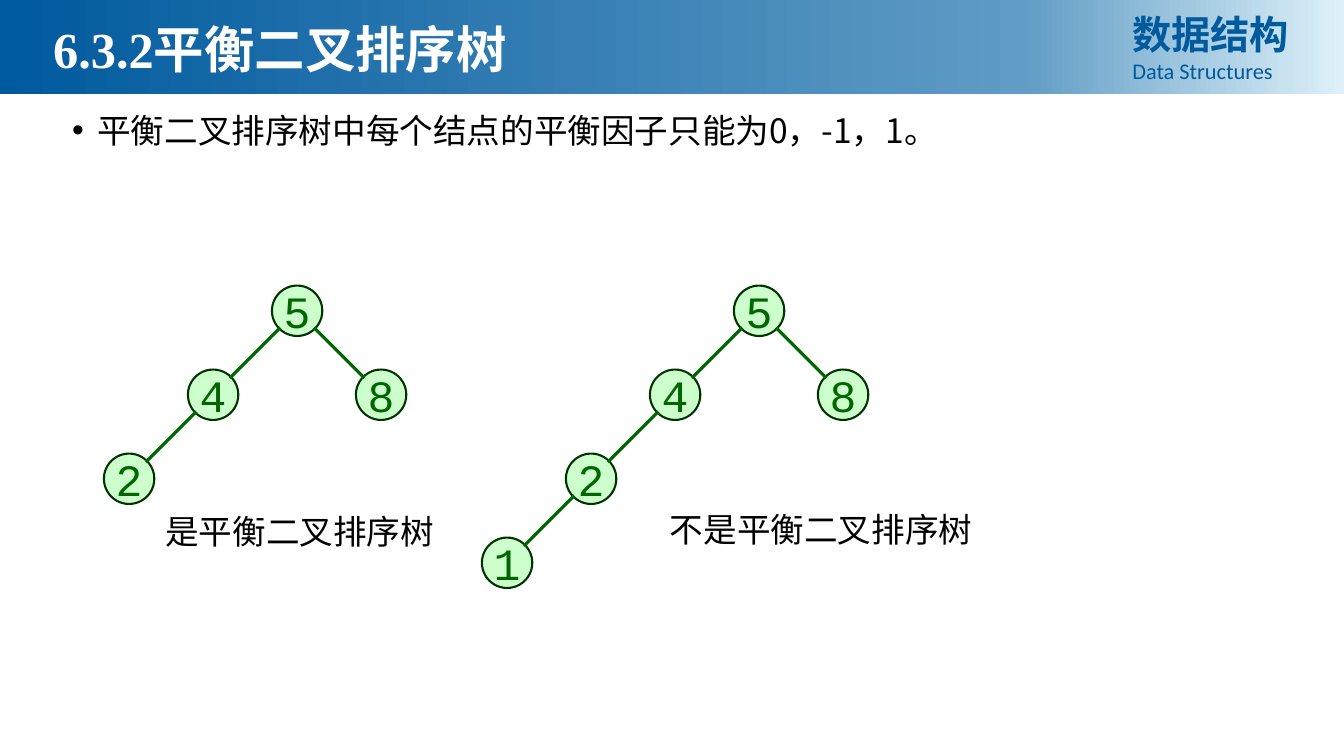
"""Build the slide on balanced binary sort trees."""
from copy import deepcopy
from lxml.etree import SubElement
from pptx import Presentation
from pptx.dml.color import RGBColor
from pptx.enum.shapes import MSO_CONNECTOR, MSO_SHAPE
from pptx.enum.text import MSO_ANCHOR, MSO_AUTO_SIZE, PP_ALIGN
from pptx.oxml.ns import qn
from pptx.util import Pt

PX = 9525
SANS = "Noto Sans CJK SC"
STEP, SIZE, REACH = 80, 48, 16


def paint(color, code):
    color.rgb = RGBColor.from_string(code)


def style(para, text, face, size, code, bold=False, align=PP_ALIGN.LEFT):
    para.text = text
    para.alignment = align
    para.font.name = face
    para.font.size = Pt(size)
    para.font.bold = bold
    paint(para.font.color, code)


deck = Presentation()
deck.slide_width, deck.slide_height = 1280 * PX, 720 * PX
slide = deck.slides.add_slide(deck.slide_layouts[1])
shapes = slide.shapes

band = shapes.add_shape(MSO_SHAPE.RECTANGLE, 0, 0, 1280 * PX, 90 * PX)
band.shadow.inherit = False
band.line.fill.background()
band.fill.gradient()
band.fill.gradient_angle = 0
first = band.fill._fill._gradFill.find(qn("a:gsLst"))[0]
first.addnext(deepcopy(first))
stops = [(0, "005A9E"), (0.76, "609CC5"), (1, "DEF1F9")]
for stop, (place, code) in zip(band.fill.gradient_stops, stops):
    stop.position = place
    paint(stop.color, code)
shapes._spTree.insert(2, band._element)

title = shapes.title
title.left, title.top, title.width, title.height = [n * PX for n in (41, 12, 643, 68)]
frame = title.text_frame
frame.auto_size = MSO_AUTO_SIZE.NONE
frame.vertical_anchor = MSO_ANCHOR.TOP
style(frame.paragraphs[0], "6.3.2平衡二叉排序树", "Times New Roman", 36, "FFFFFF", True)

body = slide.placeholders[1]
body.left, body.top, body.width, body.height = [n * PX for n in (59, 104, 1143, 512)]
body.text_frame.auto_size = MSO_AUTO_SIZE.NONE
para = body.text_frame.paragraphs[0]
props = para._p.get_or_add_pPr()
props.set("marL", str(24 * PX))
props.set("indent", str(-24 * PX))
para.line_spacing = 0.9
para.space_before = Pt(0)
SubElement(props, qn("a:buChar")).set("char", "•")
style(para, "平衡二叉排序树中每个结点的平衡因子只能为0，-1，1。", SANS, 24, "000000")

course = shapes.add_textbox(1069 * PX, 5 * PX, 183 * PX, 81 * PX).text_frame
course.word_wrap = True
style(course.paragraphs[0], "数据结构", SANS, 28, "005A9E", True, PP_ALIGN.JUSTIFY)
style(course.add_paragraph(), "Data Structures", "Calibri", 16, "005A9E",
      align=PP_ALIGN.JUSTIFY)

small = [("5", 0, 0), ("4", -1, 1), ("8", 1, 1), ("2", -2, 2)]
trees = [(283, small), (723, small + [("1", -3, 3)])]
for root, nodes in trees:
    for key, col, row in nodes:
        x, y = root + col * STEP, 296 + row * STEP
        node = shapes.add_shape(MSO_SHAPE.OVAL, (x - SIZE // 2) * PX,
                                (y - SIZE // 2) * PX, SIZE * PX, SIZE * PX)
        node.shadow.inherit = False
        node.fill.solid()
        paint(node.fill.fore_color, "CCFFCC")
        paint(node.line.color, "003300")
        node.line.width = Pt(1.5)
        frame = node.text_frame
        frame.word_wrap = False
        frame.vertical_anchor = MSO_ANCHOR.MIDDLE
        frame.margin_left = frame.margin_right = 0
        frame.margin_top = frame.margin_bottom = 0
        style(frame.paragraphs[0], key, "Courier New", 32, "006600",
              align=PP_ALIGN.CENTER)
        if row:
            side = 1 if col < 0 else -1
            edge = shapes.add_connector(
                MSO_CONNECTOR.STRAIGHT,
                (x + side * (STEP - REACH)) * PX, (y - STEP + REACH) * PX,
                (x + side * REACH) * PX, (y - REACH) * PX)
            paint(edge.line.color, "006600")
            edge.line.width = Pt(2.25)
            SubElement(edge._element.spPr, qn("a:effectLst"))

labels = [("是平衡二叉排序树", 147, 482, 277), ("不是平衡二叉排序树", 627, 480, 310)]
for text, x, y, width in labels:
    frame = shapes.add_textbox(x * PX, y * PX, width * PX, 49 * PX).text_frame
    frame.word_wrap = False
    style(frame.paragraphs[0], text, SANS, 24, "000000", align=PP_ALIGN.CENTER)

deck.save("out.pptx")
